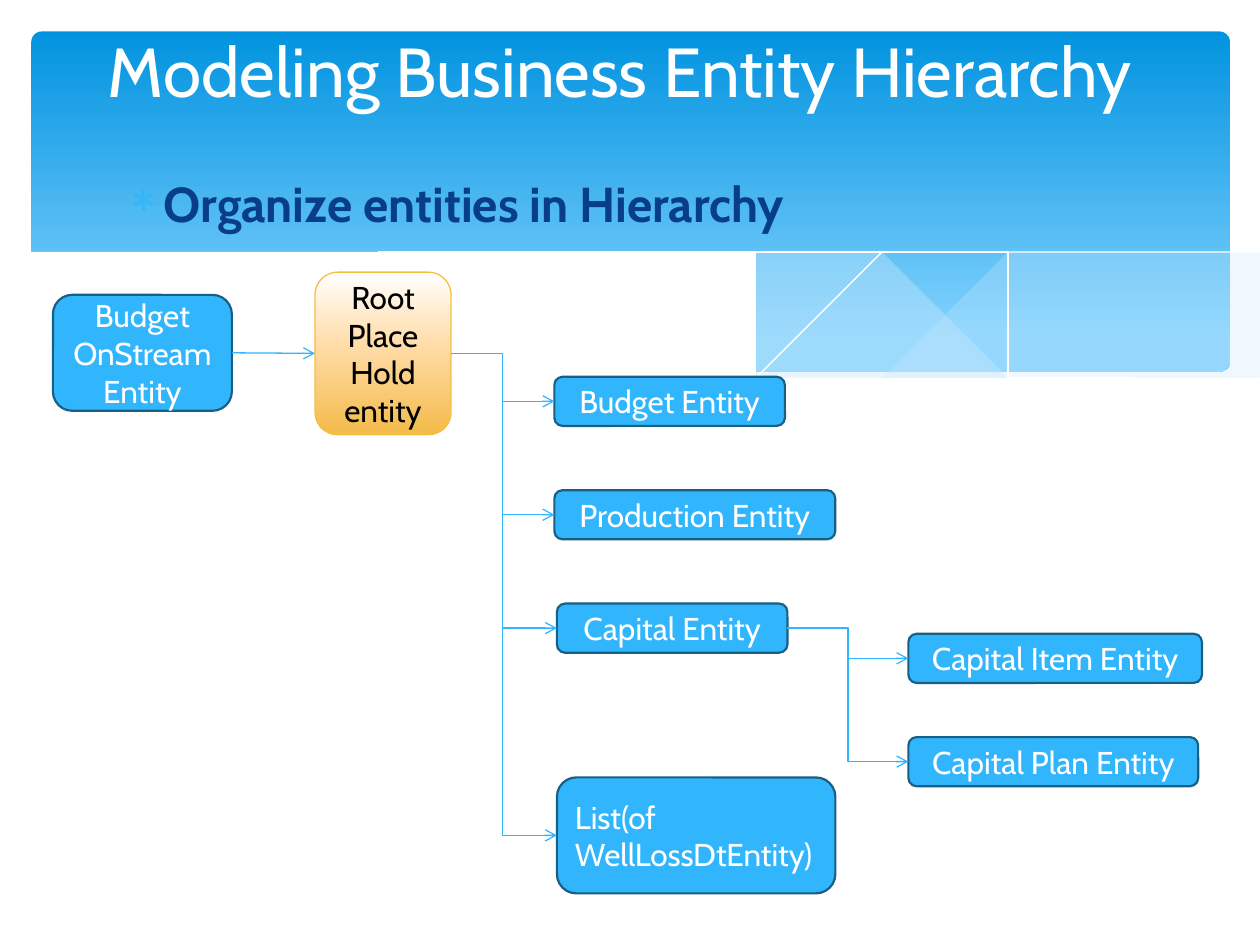
from copy import deepcopy

from lxml.etree import SubElement
from pptx import Presentation
from pptx.dml.color import RGBColor
from pptx.enum.shapes import MSO_CONNECTOR as CONN, MSO_SHAPE as SHAPE
from pptx.enum.text import MSO_ANCHOR as ANCHOR, PP_ALIGN as ALIGN
from pptx.oxml.ns import qn
from pptx.util import Inches, Pt

FONT = "Cabin"
BLUE, EDGE, WHITE, PALE = "31B6FD", "195F84", "FFFFFF", "C6E7FC"
TITLE = "Modeling Business Entity Hierarchy"
SUBTITLE = "Organize entities in Hierarchy"

# Header waves: (strands of curve knots, fill, opacity in percent);
# no fill means a white line
WAVES = [
    ([[(9.76, 2), (8.61, 2.23), (6.61, 2.65)],
      [(6.61, 2.65), (7.45, 2.75), (8.35, 2.77), (9.13, 2.67), (9.76, 2.47)]],
     PALE, 29),
    ([[(8.93, 2.73), (7.75, 2.54), (6.29, 2.22), (5.14, 1.98), (3.8, 1.85), (2.86, 1.91)],
      [(2.86, 1.91), (4.49, 2.22), (6.01, 2.55), (7.22, 2.74), (8.18, 2.78), (8.93, 2.73)]],
     PALE, 40),
    ([[(3.09, 1.95), (4.01, 1.87), (5.33, 1.94), (6.95, 2.19), (9.07, 2.72)]], None, 100),
    ([[(6.13, 2.57), (7.48, 2.23), (8.66, 1.99), (9.75, 1.85)]], None, 100),
    ([[(9.77, 2.46), (9.1, 2.67), (8.09, 2.77), (6.88, 2.68), (5.55, 2.45), (4.47, 2.2),
       (3.16, 1.94), (1.93, 1.84), (0.95, 1.91), (0.23, 2.13)],
      [(0.23, 3.29), (9.77, 3.29)]], WHITE, 100),
]
STEPS = 8  # segments drawn between two knots

# Entities: name -> (text, left, top, width, height)
ROW_H, TALL_H = 0.39, 0.92
ENTITIES = {
    "onstream": ("Budget OnStream Entity", 0.42, 2.34, 1.42, TALL_H),
    "root": ("Root Place Hold\nentity", 2.5, 2.16, 1.08, 1.29),
    "budget": ("Budget Entity", 4.4, 2.99, 1.83, ROW_H),
    "production": ("Production Entity", 4.4, 3.89, 2.23, ROW_H),
    "capital": ("Capital Entity", 4.42, 4.79, 1.83, ROW_H),
    "item": ("Capital Item Entity", 7.21, 5.03, 2.33, ROW_H),
    "plan": ("Capital Plan Entity", 7.21, 5.85, 2.3, ROW_H),
    "losses": ("List(of WellLossDtEntity)", 4.42, 6.17, 2.21, TALL_H),
}
# Parent -> (x of the shared trunk, children)
LINKS = {
    "onstream": (None, ["root"]),
    "root": (3.99, ["budget", "production", "capital", "losses"]),
    "capital": (6.73, ["item", "plan"]),
}


def rgb(color):
    return RGBColor.from_string(color)


def smooth(knots):
    """Points of a Catmull-Rom curve through the knots."""
    if len(knots) < 3:
        return knots
    padded = [knots[0], *knots, knots[-1]]
    points = [knots[0]]
    for a, b, c, d in zip(padded, padded[1:], padded[2:], padded[3:]):
        for step in range(1, STEPS + 1):
            t = step / STEPS
            points.append(tuple(
                q + t / 2 * (r - p + t * (2 * p - 5 * q + 4 * r - s
                                          + t * (3 * (q - r) + s - p)))
                for p, q, r, s in zip(a, b, c, d)))
    return points


def set_gradient(sp, stops):
    """Fill from top to bottom with (position, colour) stops."""
    sp.fill.gradient()
    sp.fill.gradient_angle = 270
    gs_lst = sp._element.spPr.find(".//" + qn("a:gsLst"))
    while len(gs_lst) < len(stops):
        gs_lst.append(deepcopy(gs_lst[0]))
    for stop, (position, color) in zip(sp.fill.gradient_stops, stops):
        stop.position = position
        stop.color.rgb = rgb(color)


def set_text(sp, text, size, color, align, bold=False):
    tf = sp.text_frame
    tf.word_wrap = True
    tf.text = text
    for p in tf.paragraphs:
        p.alignment = align
        for r in p.runs:
            r.font.name, r.font.size, r.font.bold = FONT, Pt(size), bold
            r.font.color.rgb = rgb(color)
    return tf


def add_round_rect(left, top, width, height):
    sp = shapes.add_shape(SHAPE.ROUNDED_RECTANGLE, *map(Inches, (left, top, width, height)))
    sp.shadow.inherit = False
    return sp


def add_wave(strands, fill, opacity):
    points = [point for knots in strands for point in smooth(knots)]
    builder = shapes.build_freeform(*points[0], scale=Inches(1))
    builder.add_line_segments(points[1:], close=fill is not None)
    sp = builder.convert_to_shape()
    sp.shadow.inherit = False
    if fill is None:
        sp.fill.background()
        sp.line.color.rgb = rgb(WHITE)
        sp.line.width = 0
        return
    sp.line.fill.background()
    sp.fill.solid()
    sp.fill.fore_color.rgb = rgb(fill)
    if opacity < 100:
        clr = sp._element.spPr.find(".//" + qn("a:srgbClr"))
        SubElement(clr, qn("a:alpha"), val=str(opacity * 1000))


def add_entity(name, text, *place):
    sp = add_round_rect(*place)
    is_root = name == "root"
    if is_root:
        set_gradient(sp, [(0, WHITE), (0.44, "FFDDAA"), (1, "F4BB4A")])
    else:
        sp.fill.solid()
        sp.fill.fore_color.rgb = rgb(BLUE)
    sp.line.color.rgb = rgb("F5C040" if is_root else EDGE)
    sp.line.width = Pt(0.75 if is_root else 1.25)
    tf = set_text(sp, text, 18, "000000" if is_root else WHITE,
                  ALIGN.LEFT if name == "losses" else ALIGN.CENTER)
    tf.vertical_anchor = ANCHOR.MIDDLE
    return sp


def add_link(parent, child, trunk):
    cx = shapes.add_connector(CONN.ELBOW if trunk else CONN.STRAIGHT, 0, 0, 0, 0)
    cx.begin_connect(parent, 3)
    cx.end_connect(child, 1)
    cx.line.color.rgb = rgb(BLUE)
    cx.line.width = Pt(0.75)
    sp_pr = cx._element.spPr
    SubElement(sp_pr.find(qn("a:ln")), qn("a:tailEnd"), type="arrow")
    SubElement(sp_pr, qn("a:effectLst"))
    if trunk:  # bend every branch at the same x
        bend = round((Inches(trunk) - cx.begin_x) / (cx.end_x - cx.begin_x) * 100000)
        av_lst = sp_pr.find(qn("a:prstGeom")).get_or_add_avLst()
        SubElement(av_lst, qn("a:gd"), name="adj1", fmla=f"val {bend}")


prs = Presentation()
prs.slide_width, prs.slide_height = Inches(10), Inches(7.5)
shapes = prs.slides.add_slide(prs.slide_layouts[6]).shapes

# Header band and waves
band = add_round_rect(0.25, 0.25, 9.51, 2.7)
band.adjustments[0] = 0.03
band.line.fill.background()
set_gradient(band, [(0, "0293E0"), (0.9, "83D3FE")])
for wave in WAVES:
    add_wave(*wave)

# Subtitle with its bullet
sub = shapes.add_textbox(*map(Inches, (0.83, 1.33, 8.1, 0.5)))
tf = set_text(sub, SUBTITLE, 28, "073E87", ALIGN.LEFT, bold=True)
tf.margin_left = Inches(0.17)
p_pr = tf.paragraphs[0]._p.get_or_add_pPr()
p_pr.set("marL", str(Inches(0.3)))
p_pr.set("indent", str(-Inches(0.3)))
SubElement(SubElement(p_pr, qn("a:buClr")), qn("a:srgbClr"), val=BLUE)
SubElement(p_pr, qn("a:buChar"), char="∗")

# Title
title = shapes.add_textbox(*map(Inches, (0.42, 0.09, 9, 0.92)))
set_text(title, TITLE, 39.6, WHITE, ALIGN.CENTER).vertical_anchor = ANCHOR.MIDDLE

# Entity hierarchy
boxes = {name: add_entity(name, *entity) for name, entity in ENTITIES.items()}
for parent, (trunk, children) in LINKS.items():
    for child in children:
        add_link(boxes[parent], boxes[child], trunk)

prs.save("out.pptx")
